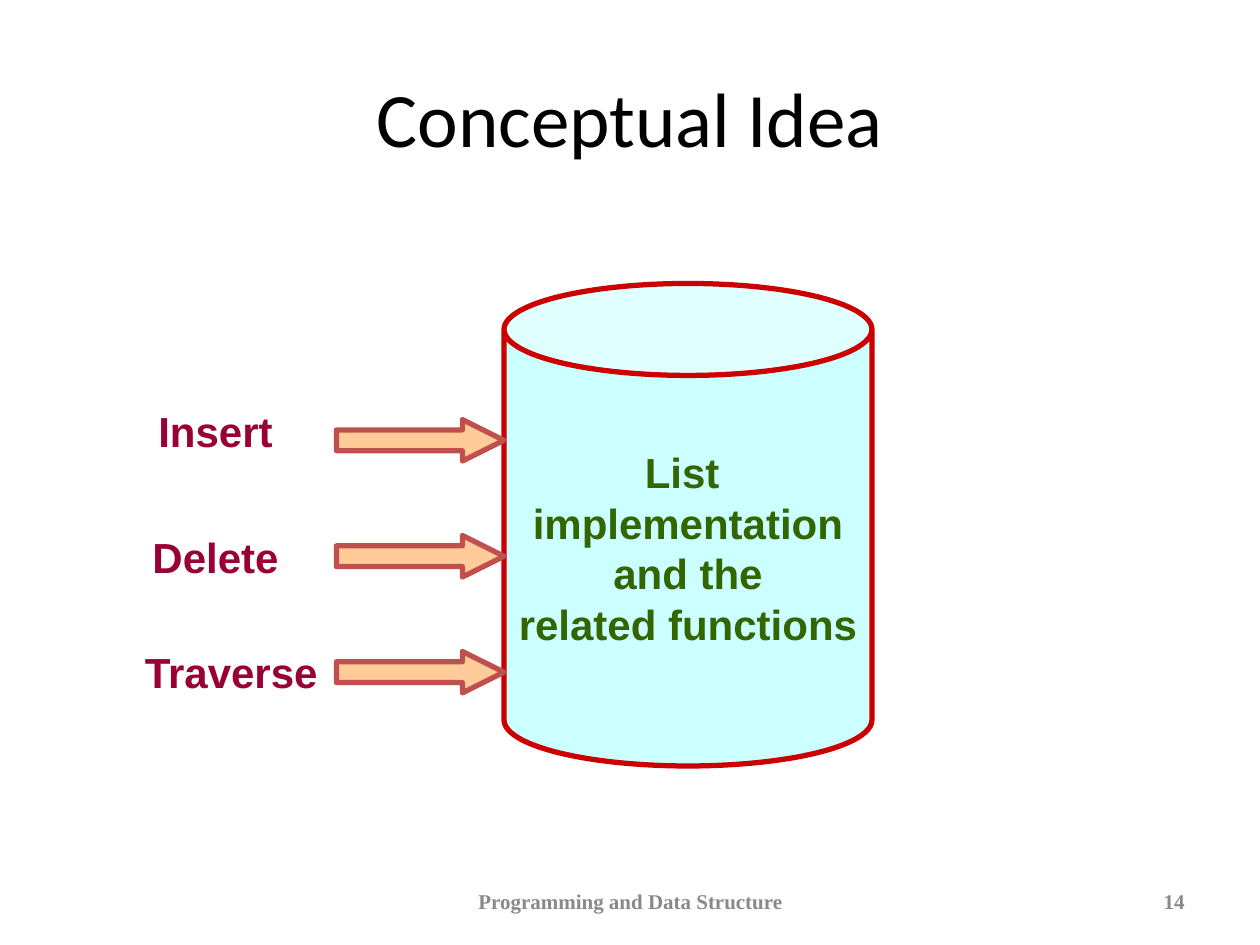
from pptx import Presentation
from pptx.dml.color import RGBColor
from pptx.enum.shapes import MSO_SHAPE as Shape
from pptx.enum.text import MSO_ANCHOR as Anchor, PP_ALIGN as Align
from pptx.util import Inches, Pt

BLACK = RGBColor(0x00, 0x00, 0x00)
GRAY = RGBColor(0x89, 0x89, 0x89)
CYAN = RGBColor(0xCC, 0xFF, 0xFF)
RED = RGBColor(0xCC, 0x00, 0x00)
GREEN = RGBColor(0x33, 0x66, 0x00)
PEACH = RGBColor(0xFF, 0xCC, 0x99)
BRICK = RGBColor(0xC0, 0x50, 0x4D)
WINE = RGBColor(0x99, 0x00, 0x33)


def write(shape, text, size=24, font="Arial", color=BLACK, bold=True,
          align=Align.CENTER, anchor=Anchor.MIDDLE, wrap=True):
    """Fill a shape with text, one paragraph for each line."""
    frame = shape.text_frame
    frame.text = text
    frame.word_wrap = wrap
    frame.vertical_anchor = anchor
    for para in frame.paragraphs:
        para.alignment = align
        para.font.size = Pt(size)
        para.font.name = font
        para.font.bold = bold
        para.font.color.rgb = color


def add_text(slide, box, text, **style):
    write(slide.shapes.add_textbox(*map(Inches, box)), text, **style)


def add_form(slide, kind, box, fill, line):
    form = slide.shapes.add_shape(kind, *map(Inches, box))
    form.shadow.inherit = False
    form.fill.solid()
    form.fill.fore_color.rgb = fill
    form.line.color.rgb = line
    form.line.width = Pt(3)
    return form


def add_store(slide, box):
    can = add_form(slide, Shape.CAN, box, CYAN, RED)
    can.adjustments[0] = 0.25
    write(can, "List \nimplementation\nand the\nrelated functions",
          color=GREEN, wrap=False)


def add_calls(slide, left, top, right):
    """Place the labelled arrows that end at the right edge."""
    width, step = 1.33, 0.92
    calls = [("Insert", -0.16, 1.42), ("Delete", -0.08, 1.42),
             ("Traverse", -0.09, 1.67)]
    for row, (name, shift, span) in enumerate(calls):
        y = top + row * step
        add_form(slide, Shape.RIGHT_ARROW, (right - width, y, width, 0.33),
                 PEACH, BRICK).adjustments[1] = 1
        add_text(slide, (left, y + shift, span, 0.5), name,
                 color=WINE, anchor=Anchor.TOP)


def add_footer(slide, top, height):
    style = dict(size=12, font="Times New Roman", color=GRAY)
    add_text(slide, (3.42, top, 3.17, height),
             "Programming and Data Structure", **style)
    add_text(slide, (7.17, top, 2.33, height), "14",
             align=Align.RIGHT, **style)


def main():
    deck = Presentation()
    deck.slide_width, deck.slide_height = Inches(10), Inches(7.5)
    slide = deck.slides.add_slide(deck.slide_layouts[6])
    add_text(slide, (0.5, 0.3, 9, 1.25), "Conceptual Idea",
             size=44, font="Calibri", bold=False)
    add_store(slide, (4, 2.25, 2.92, 3.83))
    add_calls(slide, left=1, top=3.33, right=4)
    add_footer(slide, top=6.95, height=0.4)
    deck.save("out.pptx")


if __name__ == "__main__":
    main()
